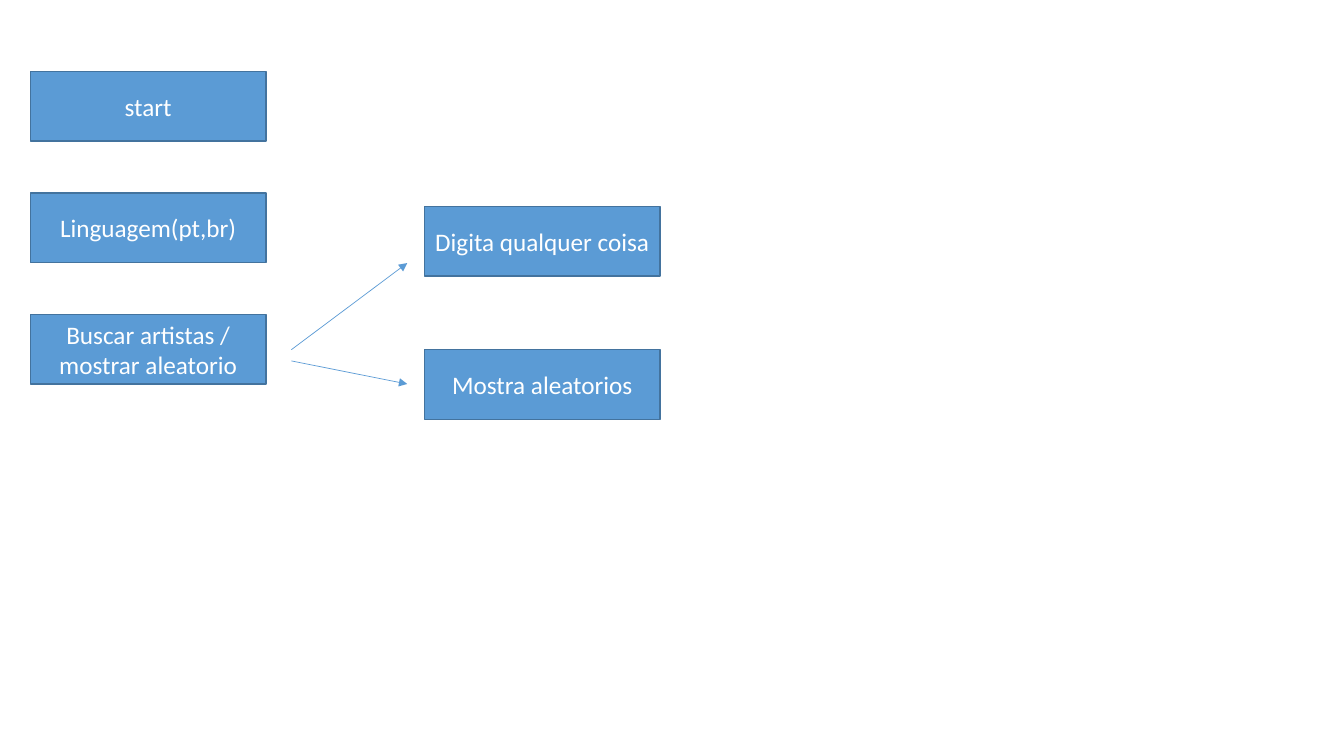
from lxml import etree
from pptx import Presentation
from pptx import util as u
from pptx.dml.color import RGBColor
from pptx.enum import shapes, text
from pptx.oxml.ns import qn

COLUMNS = [
    {"left": 21.6, "top": 51.1, "step": 86.8,
     "steps": ["start", "Linguagem(pt,br)", "Buscar artistas / mostrar aleatorio"]},
    {"left": 303.1, "top": 147.6, "step": 102.2,
     "steps": ["Digita qualquer coisa", "Mostra aleatorios"]},
]
ARROWS = [(249.8, 187.9), (257.8, 274.3)]
ARROW_LEFT, ARROW_RIGHT = 208.1, 290.9
BOX_WIDTH, BOX_HEIGHT = 168.5, 49.7
BLUE, DARK_BLUE, WHITE = "5B9BD5", "43739E", "FFFFFF"


def paint(color_format, color):
    color_format.rgb = RGBColor.from_string(color)


def write(shape, content, size=18, font="Calibri", color=WHITE):
    frame = shape.text_frame
    frame.word_wrap = True
    frame.vertical_anchor = text.MSO_ANCHOR.MIDDLE
    paragraph = frame.paragraphs[0]
    paragraph.alignment = text.PP_ALIGN.CENTER
    run = paragraph.add_run()
    run.text = content
    run.font.size = u.Pt(size)
    run.font.name = font
    paint(run.font.color, color)


def add_box(slide, left, top, content):
    shape = slide.shapes.add_shape(
        shapes.MSO_SHAPE.RECTANGLE,
        u.Pt(left), u.Pt(top), u.Pt(BOX_WIDTH), u.Pt(BOX_HEIGHT))
    shape.shadow.inherit = False
    shape.fill.solid()
    paint(shape.fill.fore_color, BLUE)
    paint(shape.line.color, DARK_BLUE)
    shape.line.width = u.Pt(1)
    write(shape, content)


def add_arrow(slide, start, end):
    arrow = slide.shapes.add_connector(
        shapes.MSO_CONNECTOR.STRAIGHT,
        u.Pt(ARROW_LEFT), u.Pt(start), u.Pt(ARROW_RIGHT), u.Pt(end))
    paint(arrow.line.color, BLUE)
    arrow.line.width = u.Pt(0.5)
    properties = arrow.element.spPr
    etree.SubElement(properties.find(qn("a:ln")), qn("a:tailEnd"), type="triangle")
    etree.SubElement(properties, qn("a:effectLst"))


presentation = Presentation()
presentation.slide_width = u.Pt(960)
presentation.slide_height = u.Pt(540)
slide = presentation.slides.add_slide(presentation.slide_layouts[6])

for column in COLUMNS:
    for row, content in enumerate(column["steps"]):
        add_box(slide, column["left"], column["top"] + row * column["step"], content)
for start, end in ARROWS:
    add_arrow(slide, start, end)

presentation.save("out.pptx")
